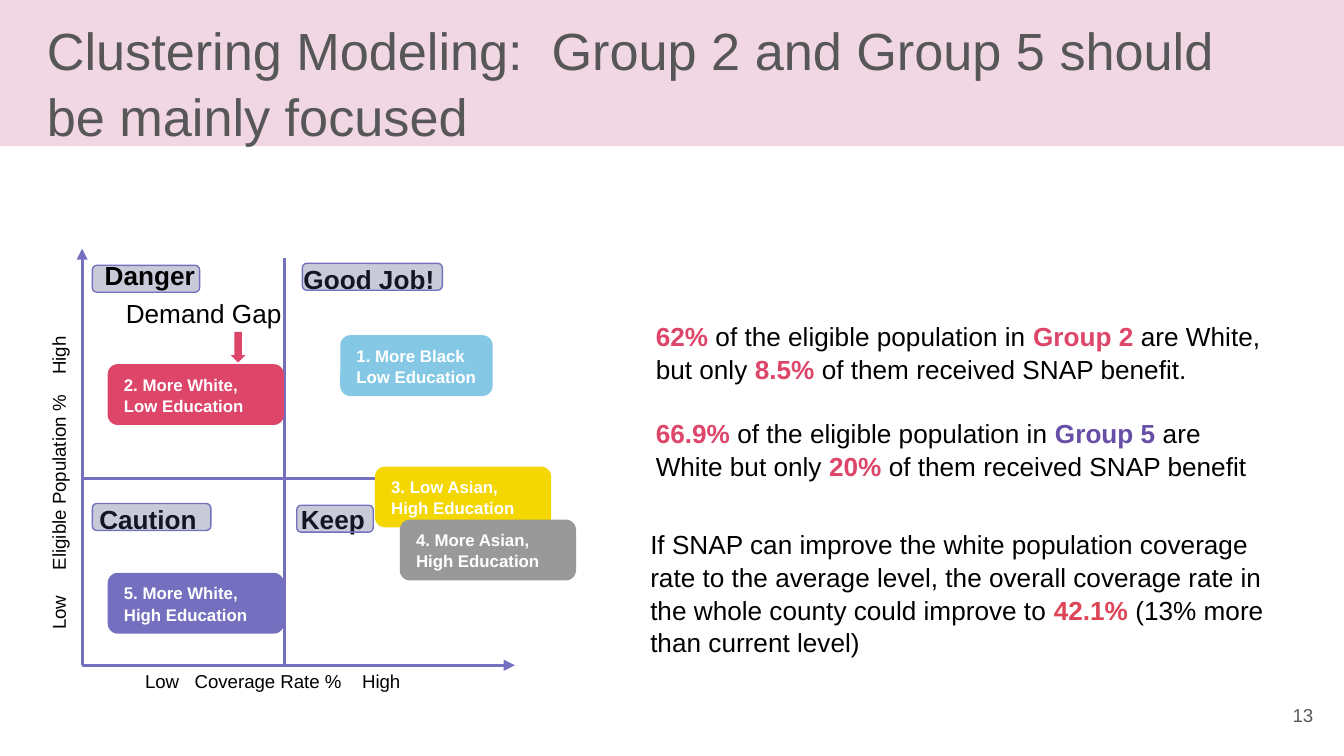
from dataclasses import dataclass

import pptx
import pptx.dml.color
import pptx.enum.shapes
import pptx.enum.text
import pptx.oxml
import pptx.oxml.ns
import pptx.util
from lxml import etree

Pt = pptx.util.Pt
SHAPES = pptx.enum.shapes.MSO_SHAPE
ALIGN = pptx.enum.text.PP_ALIGN
ANCHOR = pptx.enum.text.MSO_ANCHOR


@dataclass(frozen=True)
class Theme:
    font: str = "Arial"
    line_spacing: float = 1.05
    title_size: int = 28
    body_size: int = 14
    small_size: int = 10
    card_size: int = 9
    band: str = "E6B3CA"
    title: str = "575757"
    ink: str = "000000"
    number: str = "595959"
    white: str = "FFFFFF"
    badge: str = "474A7B"
    violet: str = "7470BF"
    deep_violet: str = "674EA7"
    rose: str = "DD4569"
    red: str = "DD4556"
    sky: str = "84C8E6"
    yellow: str = "F4D601"
    grey: str = "999999"


THEME = Theme()


def rgb(color):
    return pptx.dml.color.RGBColor.from_string(color)


def write(frame, paragraphs, size, color, bold=False, align=ALIGN.LEFT,
          anchor=ANCHOR.TOP, inset=7.2, gap=0):
    """Fill a frame; a span is plain text or a (text, accent colour) pair."""
    frame.word_wrap = True
    frame.vertical_anchor = anchor
    frame.margin_left = frame.margin_right = Pt(7.2)
    frame.margin_top = frame.margin_bottom = Pt(inset)
    for index, spans in enumerate(paragraphs):
        para = frame.paragraphs[0] if index == 0 else frame.add_paragraph()
        para.alignment = align
        para.line_spacing = THEME.line_spacing
        para.space_before = Pt(gap if index else 0)
        for span in spans:
            text, accent = (span, None) if isinstance(span, str) else span
            run = para.add_run()
            run.text = text
            run.font.name = THEME.font
            run.font.size = Pt(size)
            run.font.bold = bold or accent is not None
            run.font.color.rgb = rgb(accent or color)


def add_text(page, place, paragraphs, size=THEME.body_size, color=THEME.ink, **style):
    box = page.shapes.add_textbox(*map(Pt, place))
    write(box.text_frame, paragraphs, size, color, **style)
    return box


def add_block(page, kind, place, fill, opacity=100, outline=None):
    block = page.shapes.add_shape(kind, *map(Pt, place))
    block.shadow.inherit = False
    block.fill.solid()
    block.fill.fore_color.rgb = rgb(fill)
    if opacity < 100:
        color = block.fill._xPr.find(".//" + pptx.oxml.ns.qn("a:srgbClr"))
        alpha = etree.SubElement(color, pptx.oxml.ns.qn("a:alpha"))
        alpha.set("val", str(opacity * 1000))
    if outline:
        block.line.color.rgb = rgb(outline)
        block.line.width = Pt(0.75)
    else:
        block.line.fill.background()
    return block


def add_badge(page, left, top, width):
    """Translucent plate marking a quadrant name."""
    add_block(page, SHAPES.ROUNDED_RECTANGLE, (left, top, width, 14.4),
              THEME.badge, opacity=29, outline=THEME.violet)


def add_card(page, left, top, width, fill, lines):
    card = add_block(page, SHAPES.ROUNDED_RECTANGLE, (left, top, width, 32.6), fill)
    write(card.text_frame, [[line] for line in lines], THEME.card_size,
          THEME.white, bold=True, anchor=ANCHOR.MIDDLE)


def add_line(page, start, end, arrow=False):
    line = page.shapes.add_connector(
        pptx.enum.shapes.MSO_CONNECTOR.STRAIGHT, *map(Pt, start + end))
    line.line.color.rgb = rgb(THEME.violet)
    line.line.width = Pt(1.5)
    if arrow:
        head = etree.SubElement(line.line._get_or_add_ln(), pptx.oxml.ns.qn("a:tailEnd"))
        head.set("type", "triangle")
    etree.SubElement(line._element.spPr, pptx.oxml.ns.qn("a:effectLst"))


def add_header(page):
    add_block(page, SHAPES.RECTANGLE, (0, -0.7, 720, 79), THEME.band, opacity=52)
    add_text(page, (18, 0.7, 671, 25.2),
             [["Clustering Modeling:  Group 2 and Group 5 should be mainly focused"]],
             THEME.title_size, THEME.title)


def add_axes(page):
    left, bottom, middle = 44, 356.4, 152.6
    add_line(page, (left, 256.3), (264.2, 256.3))
    add_line(page, (middle, bottom), (middle, 138.2))
    add_line(page, (left, bottom), (275.8, bottom), arrow=True)
    add_line(page, (left, bottom), (left, 133.2), arrow=True)
    add_text(page, (70.6, 352.1, 154.8, 28.8),
             [["Low   Coverage Rate %    High"]], THEME.small_size)
    label = add_text(page, (-82.8, 215.3, 230.4, 28.1),
                     [["Low     Eligible Population %    High"]], THEME.small_size)
    label.rotation = 270


def add_quadrants(page):
    names = [
        ("Danger", 49, 131, 69.1),
        ("Good Job!", 155.5, 133.2, 100.8),
        ("Caution", 46.1, 261.4, 104.4),
        ("Keep", 154.1, 261.4, 104.4),
    ]
    for name, left, top, width in names:
        add_text(page, (left, top, width, 32.4), [[name]], bold=True)
    for place in [(162, 141.1, 75), (49.5, 269.8, 63.5), (159, 270.7, 41)]:
        add_badge(page, *place)


def add_groups(page):
    wide = 94.4
    cards = [
        (182.3, 179.6, 81.6, THEME.sky, ["1. More Black", "Low Education"]),
        (200.9, 250, wide, THEME.yellow, ["3. Low Asian, High Education"]),
        (214.2, 278.4, wide, THEME.grey, ["4. More Asian, High Education"]),
        (57.7, 306.9, wide, THEME.violet, ["5. More White, High Education"]),
        (57.7, 195.1, wide, THEME.rose, ["2. More White, Low Education"]),
    ]
    for card in cards:
        add_card(page, *card)
    add_block(page, SHAPES.DOWN_ARROW, (123.6, 177.8, 8, 16.4), THEME.rose)
    add_text(page, (60.3, 154.8, 99, 24.5), [["Demand Gap"]], inset=3.6)


def add_findings(page):
    add_text(page, (344.2, 163.4, 342, 98), [
        [("62% ", THEME.rose), "of the eligible population in ",
         ("Group 2", THEME.rose), " are White, but only ",
         ("8.5%", THEME.rose), " of them received SNAP benefit."],
        [("66.9% ", THEME.rose), "of the eligible population in ",
         ("Group 5", THEME.deep_violet), " are White but only ",
         ("20%", THEME.rose), " of them received SNAP benefit"],
    ], gap=17)
    add_text(page, (341.3, 278.6, 360, 74.9), [
        ["If SNAP can improve the white population coverage rate to the average "
         "level, the overall coverage rate in the whole county could improve to ",
         ("42.1%", THEME.red), " (13% more than current level)"],
    ], inset=3.6)


def main():
    deck = pptx.Presentation()
    deck.slide_width, deck.slide_height = Pt(720), Pt(405)
    page = deck.slides.add_slide(deck.slide_layouts[6])
    add_badge(page, 49.5, 142.2, 57.5)
    add_header(page)
    add_axes(page)
    add_quadrants(page)
    add_groups(page)
    add_findings(page)
    add_text(page, (667.4, 367.2, 43.2, 31), [["13"]], THEME.small_size,
             THEME.number, align=ALIGN.RIGHT, anchor=ANCHOR.MIDDLE)
    deck.save("out.pptx")


if __name__ == "__main__":
    main()
